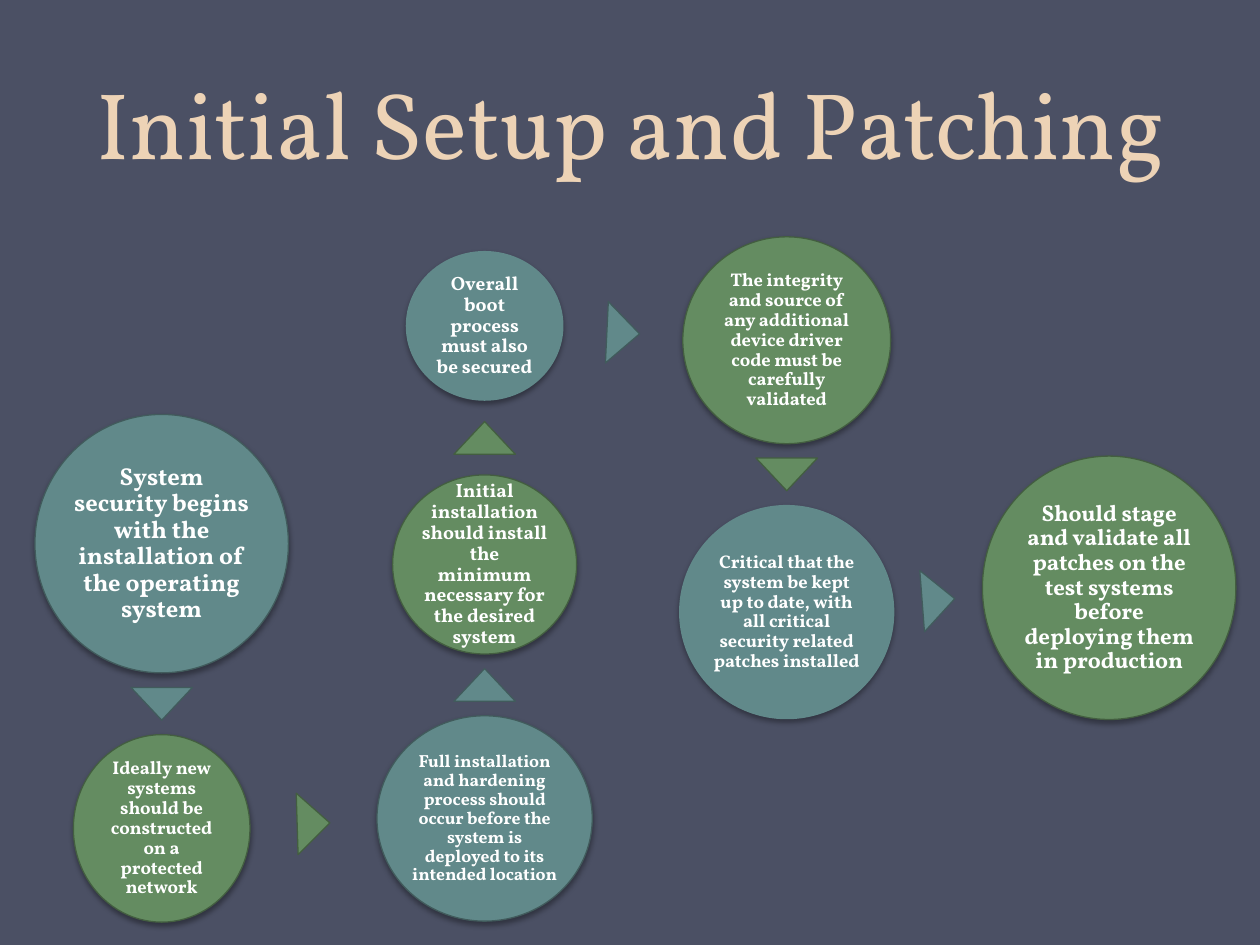
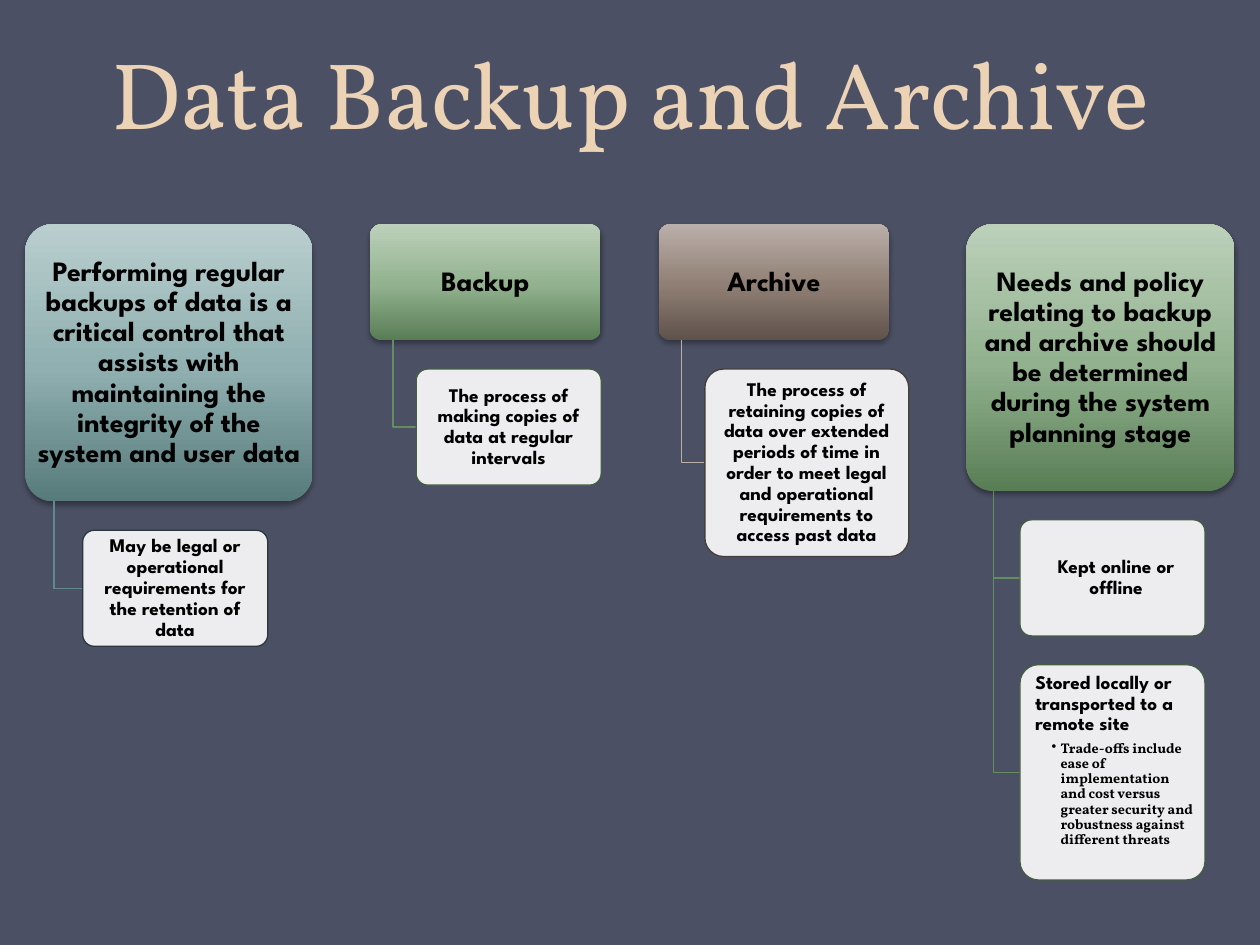
from collections import namedtuple
from math import atan2, degrees

from lxml.etree import SubElement
from pptx import Presentation
from pptx.dml.color import RGBColor
from pptx.enum.shapes import MSO_SHAPE as Preset
from pptx.enum.text import MSO_ANCHOR as Anchor, PP_ALIGN as Align
from pptx.oxml import parse_xml
from pptx.oxml.ns import nsdecls, qn
from pptx.util import Cm, Pt

# Shared look
SLATE = RGBColor(0x4B, 0x50, 0x64)
SAND = RGBColor(0xED, 0xD3, 0xB6)
WHITE = RGBColor(0xFF, 0xFF, 0xFF)
BLACK = RGBColor(0x00, 0x00, 0x00)
TEAL = RGBColor(0x61, 0x89, 0x8A)
TEAL_DARK = RGBColor(0x41, 0x5B, 0x5C)
TEAL_EDGE = RGBColor(0x2A, 0x37, 0x3D)
GREEN = RGBColor(0x64, 0x8C, 0x61)
GREEN_DARK = RGBColor(0x43, 0x5E, 0x40)
STONE = RGBColor(0xBA, 0xB0, 0xA9)
STONE_EDGE = RGBColor(0x46, 0x3E, 0x38)
SERIF, SANS = "Vollkorn", "League Spartan"

# Heading gradient (bottom to top), branch line and card edge of a column
Theme = namedtuple("Theme", "gradient branch edge")
TEAL_THEME = Theme(
    (RGBColor(0x57, 0x7A, 0x7B), RGBColor(0x8F, 0xAF, 0xB0), RGBColor(0xBA, 0xCE, 0xCE)),
    TEAL, TEAL_EDGE)
GREEN_THEME = Theme(
    (RGBColor(0x59, 0x7E, 0x56), RGBColor(0x92, 0xB2, 0x8F), RGBColor(0xBC, 0xD0, 0xBA)),
    GREEN, GREEN_DARK)
STONE_THEME = Theme(
    (RGBColor(0x5E, 0x52, 0x4B), RGBColor(0x90, 0x7F, 0x74), STONE),
    STONE, STONE_EDGE)

# Setup steps: centre and size in cm, text size, outlined or not, wording
Step = namedtuple("Step", "x y width height size outlined text")
COLUMN_X = (2.55, 9.06, 15.15, 21.65)
STEPS = (
    Step(COLUMN_X[0], 6.18, 5.11, 5.21, 14, True,
         "System security begins with the installation of the operating system"),
    Step(COLUMN_X[0], 11.92, 3.56, 3.78, 10.5, True,
         "Ideally new systems should be constructed on a protected network"),
    Step(COLUMN_X[1], 11.72, 4.34, 4.14, 10, True,
         "Full installation and hardening process should occur before the system "
         "is deployed to its intended location"),
    Step(COLUMN_X[1], 6.6, 3.71, 3.61, 11, True,
         "Initial installation should install the minimum necessary for the desired system"),
    Step(COLUMN_X[1], 1.79, 3.18, 3.02, 11, False,
         "Overall boot process must also be secured"),
    Step(COLUMN_X[2], 2.08, 4.19, 4.17, 10.5, True,
         "The integrity and source of any additional device driver code must be "
         "carefully validated"),
    Step(COLUMN_X[2], 7.56, 4.34, 4.32, 10.5, False,
         "Critical that the system be kept up to date, with all critical security "
         "related patches installed"),
    Step(COLUMN_X[3], 7.07, 5.11, 5.31, 13, True,
         "Should stage and validate all patches on the test systems before "
         "deploying them in production"),
)
ARROW_BASE, ARROW_HEIGHT = 1.24, 0.66

# Backup columns: heading size in cm, then the cards hanging below it
Card = namedtuple("Card", "width height text indent detail", defaults=(0, None))
Topic = namedtuple("Topic", "theme width height text cards")
TOPICS = (
    Topic(TEAL_THEME, 5.79, 5.59,
          "Performing regular backups of data is a critical control that assists "
          "with maintaining the integrity of the system and user data",
          [Card(3.73, 2.34,
                "May be legal or operational requirements for the retention of data")]),
    Topic(GREEN_THEME, 4.65, 2.34, "Backup",
          [Card(3.73, 2.34, "The process of making copies of data at regular intervals")]),
    Topic(STONE_THEME, 4.65, 2.34, "Archive",
          [Card(4.11, 3.78,
                "The process of retaining copies of data over extended periods of time "
                "in order to meet legal and operational requirements to access past data")]),
    Topic(GREEN_THEME, 5.41, 5.38,
          "Needs and policy relating to backup and archive should be determined "
          "during the system planning stage",
          [Card(3.73, 2.34, "Kept online or offline", 0.15),
           Card(3.73, 4.34, "Stored locally or transported to a remote site", 0.15,
                "Trade-offs include ease of implementation and cost versus greater "
                "security and robustness against different threats")]),
)
TOPIC_GAP, CARD_GAP = 1.16, 0.58


def style_text(paragraph, font, size, color, bold=True, align=Align.CENTER, spacing=0.9):
    paragraph.alignment = align
    paragraph.line_spacing = spacing
    paragraph.font.name = font
    paragraph.font.size = Pt(size)
    paragraph.font.bold = bold
    paragraph.font.color.rgb = color


def set_margins(frame, side, end):
    frame.word_wrap = True
    frame.margin_left = frame.margin_right = Cm(side)
    frame.margin_top = frame.margin_bottom = Cm(end)


def set_indent(paragraph, left, first=0):
    properties = paragraph._p.get_or_add_pPr()
    properties.set("marL", str(Cm(left)))
    properties.set("indent", str(Cm(first)))


def add_preset(slide, preset, left, top, width, height, fill=None, line=None):
    shape = slide.shapes.add_shape(preset, Cm(left), Cm(top), Cm(width), Cm(height))
    shape.shadow.inherit = False
    if fill is not None:
        shape.fill.solid()
        shape.fill.fore_color.rgb = fill
    if line is None:
        shape.line.fill.background()
    else:
        shape.line.color.rgb = line
        shape.line.width = Pt(0.75)
    return shape


def add_round_box(slide, left, top, width, height, fill=None, line=None):
    box = add_preset(slide, Preset.ROUNDED_RECTANGLE, left, top, width, height, fill, line)
    box.adjustments[0] = 0.1
    return box


def drop_shadow(shape):
    effects = shape._element.spPr.find(qn("a:effectLst"))
    effects.append(parse_xml(
        f'<a:outerShdw {nsdecls("a")} blurRad="{Pt(3.1)}" dist="{Pt(1.8)}" '
        'dir="5400000" rotWithShape="0"><a:srgbClr val="000000">'
        '<a:alpha val="35000"/></a:srgbClr></a:outerShdw>'))


def fill_gradient(shape, colors):
    stops = "".join(f'<a:gs pos="{pos}"><a:srgbClr val="{color}"/></a:gs>'
                    for pos, color in zip((0, 48000, 100000), colors))
    geometry = shape._element.spPr.find(qn("a:prstGeom"))
    geometry.addnext(parse_xml(
        f'<a:gradFill {nsdecls("a")} rotWithShape="1"><a:gsLst>{stops}</a:gsLst>'
        '<a:lin ang="16200000" scaled="0"/></a:gradFill>'))


def add_titled_slide(deck, title, height):
    slide = deck.slides.add_slide(deck.slide_layouts[6])
    slide.background.fill.solid()
    slide.background.fill.fore_color.rgb = SLATE
    frame = slide.shapes.add_textbox(Cm(1.28), 0, Cm(22.86), Cm(height)).text_frame
    frame.word_wrap = True
    frame.vertical_anchor = Anchor.BOTTOM
    frame.text = title
    style_text(frame.paragraphs[0], SERIF, 54, SAND, bold=False, spacing=Pt(58))
    return slide


# Initial setup: circles joined by arrowheads
def add_step(slide, left, top, step, fill, line):
    circle = add_preset(slide, Preset.OVAL, left + step.x - step.width / 2,
                        top + step.y - step.height / 2, step.width, step.height,
                        fill, line if step.outlined else None)
    drop_shadow(circle)
    set_margins(circle.text_frame, 0.04, 0.04)
    circle.text_frame.text = step.text
    style_text(circle.text_frame.paragraphs[0], SERIF, step.size, WHITE)


def add_step_arrow(slide, left, top, start, end, fill, line):
    """Centre an arrowhead in the gap between two circles, aimed at the next."""
    dx, dy = end.x - start.x, end.y - start.y
    x, y = (start.x + end.x) / 2, (start.y + end.y) / 2
    if abs(dx) > abs(dy):
        x += (start.width - end.width) / 4 * (1 if dx > 0 else -1)
    else:
        y += (start.height - end.height) / 4 * (1 if dy > 0 else -1)
    arrow = add_preset(slide, Preset.ISOSCELES_TRIANGLE, left + x - ARROW_BASE / 2,
                       top + y - ARROW_HEIGHT / 2, ARROW_BASE, ARROW_HEIGHT, fill, line)
    arrow.rotation = degrees(atan2(dx, -dy))


def add_step_flow(slide, left, top):
    colors = ((TEAL, TEAL_DARK), (GREEN, GREEN_DARK))
    for i, step in enumerate(STEPS):
        fill, line = colors[i % 2]
        add_step(slide, left, top, step, fill, line)
        if i + 1 < len(STEPS):
            add_step_arrow(slide, left, top, step, STEPS[i + 1], fill, line)


# Data backup: headings with cards hanging from a branch line
def add_branch(slide, left, top, right, bottom, color):
    outline = slide.shapes.build_freeform(Cm(left), Cm(top))
    outline.add_line_segments([(Cm(left), Cm(bottom)), (Cm(right), Cm(bottom))], close=False)
    branch = outline.convert_to_shape()
    branch.shadow.inherit = False
    branch.fill.background()
    branch.line.color.rgb = color
    branch.line.width = Pt(0.75)


def add_card(slide, left, top, card, edge):
    box = add_round_box(slide, left, top, card.width, card.height, WHITE, edge)
    white = box._element.spPr.find(qn("a:solidFill"))[0]
    SubElement(white, qn("a:alpha")).set("val", "90000")
    frame = box.text_frame
    set_margins(frame, 0.05, 0.05)
    frame.text = card.text
    lead = frame.paragraphs[0]
    set_indent(lead, card.indent)
    style_text(lead, SANS, 11, BLACK, align=Align.LEFT if card.detail else Align.CENTER)
    if card.detail:
        frame.vertical_anchor = Anchor.TOP
        lead.space_after = Pt(3.85)
        detail = frame.add_paragraph()
        detail.text = card.detail
        detail.level = 1
        set_indent(detail, 0.66, -0.18)
        SubElement(detail._p.get_or_add_pPr(), qn("a:buChar")).set("char", "•")
        style_text(detail, SERIF, 8, BLACK, align=Align.LEFT)


def add_topic(slide, left, top, topic):
    """Draw one column and return its right edge."""
    heading = add_round_box(slide, left, top, topic.width, topic.height)
    fill_gradient(heading, topic.theme.gradient)
    drop_shadow(heading)
    set_margins(heading.text_frame, 0.08, 0.05)
    heading.text_frame.text = topic.text
    style_text(heading.text_frame.paragraphs[0], SANS, 16, BLACK)

    branch_x, card_x = left + 0.1 * topic.width, left + 0.2 * topic.width
    bottom = top + topic.height
    card_y = bottom + CARD_GAP
    right = left + topic.width
    for card in topic.cards:
        add_branch(slide, branch_x, bottom, card_x, card_y + card.height / 2,
                   topic.theme.branch)
        add_card(slide, card_x, card_y, card, topic.theme.edge)
        card_y += card.height + CARD_GAP
        right = max(right, card_x + card.width)
    return right


def add_topic_row(slide, left, top):
    for topic in TOPICS:
        left = add_topic(slide, left, top, topic) + TOPIC_GAP


def main():
    deck = Presentation()
    deck.slide_width, deck.slide_height = Cm(25.4), Cm(19.05)
    add_step_flow(add_titled_slide(deck, "Initial Setup and Patching", 3.73), 0.71, 4.78)
    add_topic_row(add_titled_slide(deck, "Data Backup and Archive", 3.12), 0.51, 4.52)
    deck.save("out.pptx")


if __name__ == "__main__":
    main()
